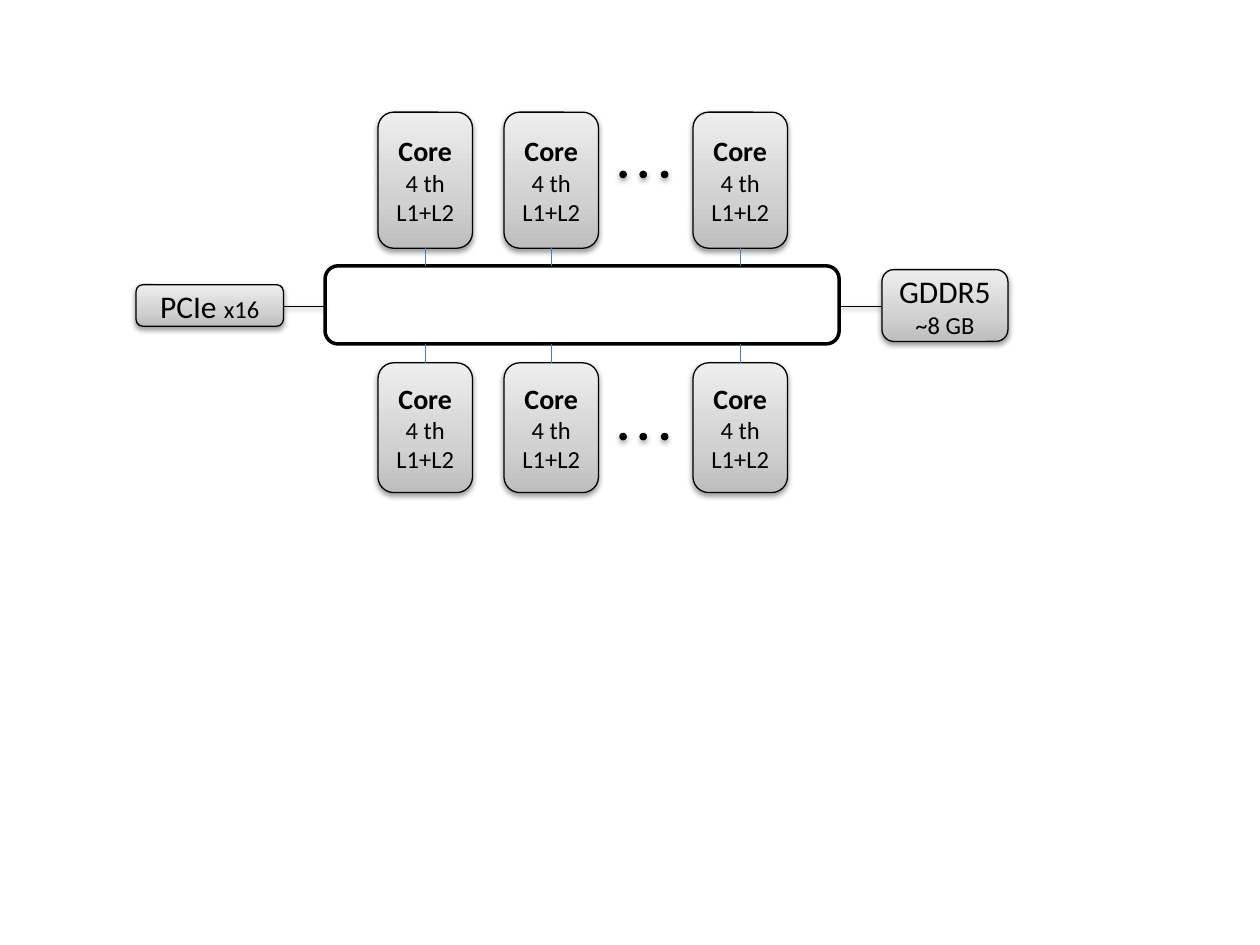
from copy import deepcopy
from dataclasses import dataclass

from pptx import Presentation
from pptx import util as u
from pptx.dml.color import RGBColor
from pptx.enum import shapes, text
from pptx.oxml import parse_xml
from pptx.oxml.ns import nsdecls, qn


@dataclass
class Theme:
    font: str = "Calibri"
    ink: str = "000000"
    paper: str = "FFFFFF"
    wire: str = "4B7EBC"
    grad: tuple = ((0, "BDBDBD"), (0.35, "D1D1D1"), (1, "EEEEEE"))
    big: int = 18
    head: int = 16
    small: int = 14
    thin: float = 0.75
    thick: float = 2


theme = Theme()

CORE = [[("Core", theme.head, True)], [("4 th", theme.small, False)],
        [("L1+L2", theme.small, False)]]
PORTS = [
    ((7, 2.14, 1, 0.57), [[("GDDR5 ", theme.big, False), ("~8 GB", theme.small, False)]]),
    ((1.08, 2.26, 1.17, 0.33), [[("PCIe ", theme.big, False), ("x16", theme.small, False)]]),
]
COLS = (3, 4, 5.5)
WIDE = 0.75
ROWS = ((0.89, 1.08, 1.36), (2.88, 1.03, 3.44))
DOTS = (4.92, 5.08, 5.25)
DOT = 0.05
BUS = (2.58, 2.11, 4.08, 0.62)
MID = 2.43
LINKS = ((7, 6.67), (2.58, 2.25))


def color(code):
    return RGBColor.from_string(code)


def shade(effect, alpha, dist):
    effect.append(parse_xml(
        f'<a:outerShdw {nsdecls("a")} blurRad="{u.Pt(3.1)}" dist="{u.Pt(dist)}" '
        f'dir="5400000" rotWithShape="0"><a:srgbClr val="{theme.ink}">'
        f'<a:alpha val="{alpha * 1000}"/></a:srgbClr></a:outerShdw>'))


def blend(shape):
    fill = shape.fill
    fill.gradient()
    fill.gradient_angle = 90
    stops = shape._element.spPr.find(".//" + qn("a:gsLst"))
    stops.append(deepcopy(stops[-1]))
    for stop, (place, code) in zip(fill.gradient_stops, theme.grad):
        stop.position = place
        stop.color.rgb = color(code)


def draw(kind, area, width=theme.thin):
    shape = slide.shapes.add_shape(kind, *map(u.Inches, area))
    shape.line.color.rgb = color(theme.ink)
    shape.line.width = u.Pt(width)
    shape.shadow.inherit = False
    return shape


def block(area, lines):
    shape = draw(shapes.MSO_SHAPE.ROUNDED_RECTANGLE, area)
    blend(shape)
    shade(shape._element.spPr.find(qn("a:effectLst")), 38, 1.6)
    frame = shape.text_frame
    frame.word_wrap = True
    frame.vertical_anchor = text.MSO_ANCHOR.MIDDLE
    for i, line in enumerate(lines):
        para = frame.add_paragraph() if i else frame.paragraphs[0]
        para.alignment = text.PP_ALIGN.CENTER
        for words, size, bold in line:
            run = para.add_run()
            run.text = words
            run.font.name = theme.font
            run.font.size = u.Pt(size)
            run.font.bold = bold
            run.font.color.rgb = color(theme.ink)


def wire(start, end, code, lift=False):
    line = slide.shapes.add_connector(
        shapes.MSO_CONNECTOR.STRAIGHT, *map(u.Inches, start + end))
    line.line.color.rgb = color(code)
    line.line.width = u.Pt(theme.thin)
    effect = parse_xml(f'<a:effectLst {nsdecls("a")}/>')
    line._element.spPr.append(effect)
    if lift:
        shade(effect, 38, 1.6)


deck = Presentation()
deck.slide_width, deck.slide_height = u.Inches(10), u.Inches(7.5)
slide = deck.slides.add_slide(deck.slide_layouts[6])

bus = draw(shapes.MSO_SHAPE.ROUNDED_RECTANGLE, BUS, theme.thick)
bus.fill.solid()
bus.fill.fore_color.rgb = color(theme.paper)

for top, high, level in ROWS:
    for left in COLS:
        block((left, top, WIDE, high), CORE)
    for left in DOTS:
        dot = draw(shapes.MSO_SHAPE.OVAL, (left, level, DOT, DOT))
        dot.fill.solid()
        dot.fill.fore_color.rgb = color(theme.ink)
        shade(dot._element.spPr.find(qn("a:effectLst")), 35, 1.8)

gaps = ((ROWS[0][0] + ROWS[0][1], BUS[1]), (BUS[1] + BUS[3], ROWS[1][0]))
for start, end in gaps:
    for left in COLS:
        mid = left + WIDE / 2
        wire((mid, start), (mid, end), theme.wire)

for start, end in LINKS:
    wire((start, MID), (end, MID), theme.ink, True)
for area, lines in PORTS:
    block(area, lines)

deck.save("out.pptx")
